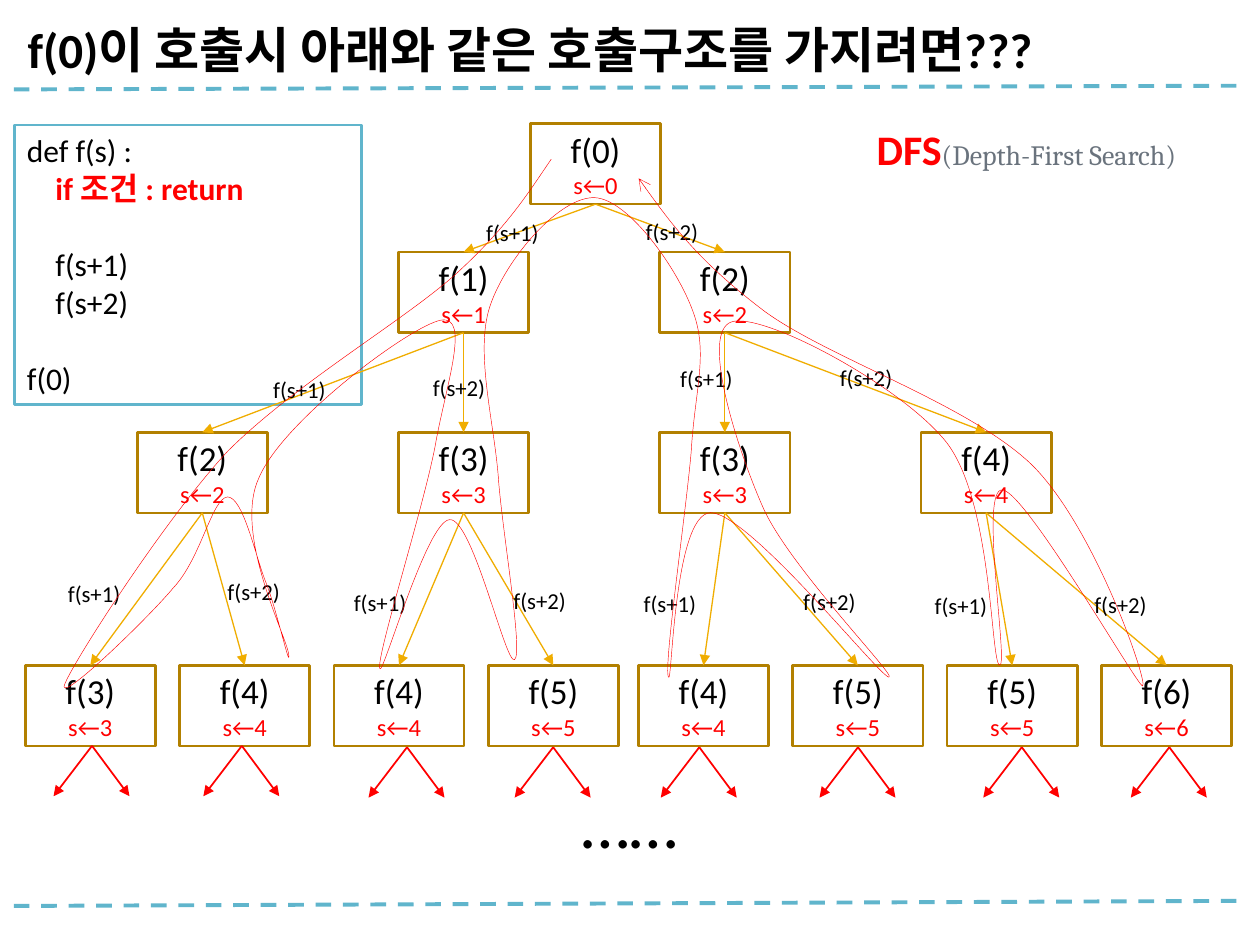
from dataclasses import dataclass

from lxml import etree
from pptx import Presentation
from pptx import util as u
from pptx.dml.color import RGBColor
from pptx.enum import dml, shapes, text
from pptx.oxml import ns


@dataclass(frozen=True)
class Theme:
    sans: str = "Calibri"
    serif: str = "Cambria"
    ink: str = "000000"
    paper: str = "FFFFFF"
    accent: str = "60B5CC"
    node: str = "B28000"
    edge: str = "F0AD00"
    alert: str = "FF0000"
    muted: str = "6A737D"
    title: int = 28
    code: int = 18
    call: int = 20
    state: int = 14
    label: int = 13
    dots: int = 40
    term: int = 24
    gloss: int = 16


class Board:
    def __init__(self, slide, theme):
        self.slide = slide
        self.theme = theme

    def font(self, target, size, color=None, bold=False, name=None):
        font = target.font
        font.name = name or self.theme.sans
        font.size = u.Pt(size)
        font.bold = bold
        font.color.rgb = RGBColor.from_string(color or self.theme.ink)

    def stroke(self, line, color, width, head=None):
        line.color.rgb = RGBColor.from_string(color)
        line.width = u.Pt(width)
        if head:
            ln = line._get_or_add_ln()
            etree.SubElement(ln, ns.qn("a:tailEnd"), type=head)

    def frame(self, shape, anchor, inset=None):
        body = shape.text_frame
        body.word_wrap = True
        body.vertical_anchor = anchor
        if inset is not None:
            body.margin_left = body.margin_right = u.Pt(inset)
            body.margin_top = body.margin_bottom = u.Pt(inset)
        return body

    def paragraph(self, body, words, size, color=None, bold=False, align=text.PP_ALIGN.LEFT):
        first = body.paragraphs[0]
        para = body.add_paragraph() if first.runs else first
        para.add_run().text = words
        para.alignment = align
        self.font(para, size, color, bold)
        return para

    def title(self, words, *box):
        heading = self.slide.shapes.title
        heading.left, heading.top, heading.width, heading.height = map(u.Pt, box)
        body = self.frame(heading, text.MSO_ANCHOR.BOTTOM)
        self.paragraph(body, words, self.theme.title, bold=True)

    def rect(self, color, *box):
        shape = self.slide.shapes.add_shape(shapes.MSO_SHAPE.RECTANGLE, *map(u.Pt, box))
        shape.shadow.inherit = False
        shape.fill.background()
        self.stroke(shape.line, color, 1.5)
        return shape

    def textbox(self, anchor, *box, inset=None):
        return self.frame(self.slide.shapes.add_textbox(*map(u.Pt, box)), anchor, inset)

    def code(self, lines, *box):
        listing = self.rect(self.theme.accent, *box)
        listing.fill.solid()
        listing.fill.fore_color.rgb = RGBColor.from_string(self.theme.paper)
        body = self.frame(listing, text.MSO_ANCHOR.TOP)
        for words, indent, gap, color in lines:
            para = self.paragraph(body, words, self.theme.code, color, bold=bool(color))
            para.space_before = u.Pt(gap)
            para._p.get_or_add_pPr().set("marL", str(u.Pt(indent)))

    def node(self, value, *box):
        call = self.rect(self.theme.node, *box)
        body = self.frame(call, text.MSO_ANCHOR.MIDDLE, 0)
        center = text.PP_ALIGN.CENTER
        self.paragraph(body, f"f({value})", self.theme.call, align=center)
        self.paragraph(body, f"s←{value}", self.theme.state, self.theme.alert, align=center)
        return call

    def line(self, start, end, color, width, head=None):
        link = self.slide.shapes.add_connector(
            shapes.MSO_CONNECTOR.STRAIGHT, *map(u.Pt, (*start, *end)))
        self.stroke(link.line, color, width, head)
        etree.SubElement(link._element.spPr, ns.qn("a:effectLst"))
        return link

    def edge(self, parent, child):
        link = self.line((0, 0), (0, 0), self.theme.edge, 0.75, "triangle")
        link.begin_connect(parent, 2)
        link.end_connect(child, 0)

    def rule(self, start, end):
        self.line(start, end, self.theme.accent, 2.25).line.dash_style = dml.MSO_LINE.DASH

    def label(self, words, left, top):
        body = self.textbox(text.MSO_ANCHOR.MIDDLE, left, top, 54, 21.6)
        self.paragraph(body, words, self.theme.label).line_spacing = u.Pt(13.8)

    def curve(self, points):
        builder = self.slide.shapes.build_freeform(*points[0], scale=u.Pt(1))
        builder.add_line_segments(points[1:], close=False)
        trail = builder.convert_to_shape()
        trail.shadow.inherit = False
        trail.fill.background()
        self.stroke(trail.line, self.theme.alert, 0.25, "arrow")
        route = next(trail._element.iter(ns.qn("a:path")))
        steps = route.findall(ns.qn("a:lnTo"))
        for i in range(0, len(steps), 3):
            bend = etree.SubElement(route, ns.qn("a:cubicBezTo"))
            for step in steps[i:i + 3]:
                bend.append(step[0])
                route.remove(step)


NODE_W, NODE_H = 74.4, 46.1
INNER = [78.4 + 149.3 * i for i in range(4)]
LEAVES = [14.4 + 88.2 * i - (2.4 if i > 3 else 0) for i in range(8)]
LEVELS = [(70.6, [303.1]), (144, INNER[1:3]), (247, INNER), (380.2, LEAVES)]
LABELS = [(270.7, 123.1), (149, 212.4), (381.6, 206.6), (31.7, 329),
          (195.1, 334.1), (360.7, 334.8), (527, 336.2)]
FORKS = [52.6, 138.2, 232.6, 316.1, 399.6, 490.3, 583.9, 668.2]
VISIT = [
    (315, 91), (302, 110), (290, 130), (259, 158), (228, 185), (168, 220), (130, 258),
    (94, 297), (42, 378), (37, 391), (32, 404), (84, 354), (99, 336),
    (115, 319), (121, 285), (130, 284), (139, 284), (146, 318), (152, 333),
    (158, 348), (166, 384), (165, 374), (164, 364), (133, 305), (148, 273),
    (162, 240), (235, 186), (252, 183), (269, 180), (255, 220), (249, 253),
    (243, 287), (215, 375), (217, 382), (218, 389), (244, 297), (257, 297),
    (270, 296), (289, 380), (294, 377), (299, 374), (288, 310), (285, 276),
    (283, 243), (271, 202), (280, 175), (289, 148), (320, 112), (340, 113),
    (359, 114), (387, 153), (396, 178), (405, 202), (397, 223), (395, 258),
    (392, 293), (379, 382), (382, 387), (384, 393), (385, 294), (406, 293),
    (428, 293), (503, 387), (508, 387), (513, 387), (451, 324), (436, 290),
    (421, 256), (400, 190), (418, 184), (436, 178), (516, 221), (541, 253),
    (567, 287), (566, 376), (571, 380), (577, 384), (559, 278), (573, 280),
    (587, 282), (651, 394), (653, 392), (656, 390), (626, 302), (590, 266),
    (554, 231), (474, 205), (437, 178), (400, 150), (382, 126), (365, 102),
]


def main():
    deck = Presentation()
    deck.slide_width, deck.slide_height = u.Pt(720), u.Pt(540)
    theme = Theme()
    board = Board(deck.slides.add_slide(deck.slide_layouts[5]), theme)

    board.rule((7.9, 51.1), (710.6, 49))
    board.rule((7.9, 517.7), (710.6, 514.8))
    board.title("f(0)이 호출시 아래와 같은 호출구조를 가지려면???", 8.6, 0, 702.7, 48.2)
    board.code([("def f(s) :", 0, 0, None), ("if 조건 : return", 16.3, 0, theme.alert),
                ("f(s+1)", 16.3, 22, None), ("f(s+2)", 16.3, 0, None),
                ("f(0)", 0, 22, None)], 8.3, 71.5, 198.4, 159.8)

    values, tree = [0], []
    for top, lefts in LEVELS:
        tree.append([board.node(value, left, top, NODE_W, NODE_H)
                     for value, left in zip(values, lefts)])
        values = [value + step for value in values for step in (1, 2)]
    for parents, children in zip(tree, tree[1:]):
        for i, child in enumerate(children):
            board.edge(parents[i // 2], child)

    for x in FORKS:
        top = 426.2 if x < 200 else 427
        for reach in (-22, 21.4):
            board.line((x, top), (x + reach, top + 28.8), theme.alert, 1, "triangle")
    for left, top in LABELS:
        board.label("f(s+1)", left, top)
        board.label("f(s+2)", left + 91.2, top - 0.8)
    board.curve(VISIT)

    dots = board.textbox(text.MSO_ANCHOR.MIDDLE, 322.6, 445.7, NODE_W, NODE_H, inset=0)
    board.paragraph(dots, "……", theme.dots, align=text.PP_ALIGN.CENTER)
    search = board.textbox(text.MSO_ANCHOR.TOP, 493.9, 67, 213.8, 36).paragraphs[0]
    for words, style in (("DFS", (theme.term, theme.alert, True)),
                         ("(Depth-First Search)", (theme.gloss, theme.muted, False, theme.serif))):
        run = search.add_run()
        run.text = words
        board.font(run, *style)
    deck.save("out.pptx")


if __name__ == "__main__":
    main()
